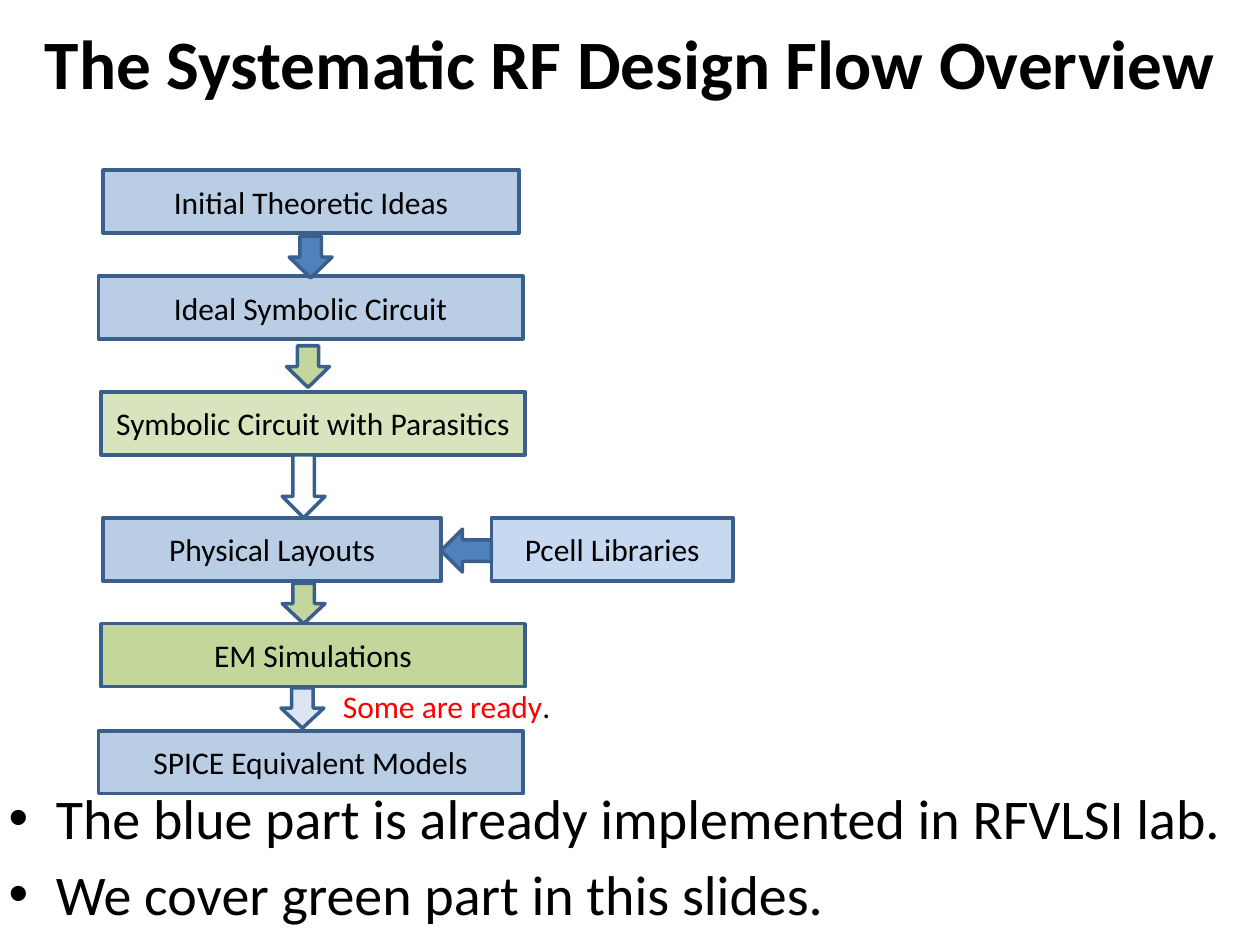
import pptx
import pptx.dml.color
import pptx.enum.shapes
import pptx.enum.text
import pptx.util
import lxml.etree
import pptx.oxml.ns

Pt = pptx.util.Pt
RGB = pptx.dml.color.RGBColor
KIND = pptx.enum.shapes.MSO_SHAPE
ALIGN = pptx.enum.text.PP_ALIGN
ANCHOR = pptx.enum.text.MSO_ANCHOR

BLACK = RGB(0x00, 0x00, 0x00)
WHITE = RGB(0xFF, 0xFF, 0xFF)
RED = RGB(0xFF, 0x00, 0x00)
EDGE = RGB(0x3A, 0x5F, 0x8C)
BLUE = RGB(0xB9, 0xCD, 0xE5)
SKY = RGB(0xC6, 0xD9, 0xF1)
PALE = RGB(0xDC, 0xE6, 0xF2)
DEEP = RGB(0x4F, 0x81, 0xBD)
LIME = RGB(0xD7, 0xE4, 0xBD)
GREEN = RGB(0xC3, 0xD6, 0x9B)

BOX_H = 36
ARROW_H = 24.5

BOXES = [
    ("Initial Theoretic Ideas", 59, 97.2, 237.6, BLUE),
    ("Ideal Symbolic Circuit", 56.2, 157.7, 242.6, BLUE),
    ("Symbolic Circuit with Parasitics", 57.6, 223.9, 242.6, LIME),
    ("Physical Layouts", 59, 295.9, 193, BLUE),
    ("Pcell Libraries", 280.8, 295.9, 138.2, SKY),
    ("EM Simulations", 57.6, 356.4, 242.6, GREEN),
    ("SPICE Equivalent Models", 56.2, 417.6, 242.6, BLUE),
]

ARROWS = [
    (177.5, 146.9, 23.8, 90, DEEP),
    (176, 209.5, 23.8, 90, GREEN),
    (173.5, 277.9, 36, 90, WHITE),
    (173.5, 344.9, 23, 90, GREEN),
    (266.4, 314.6, 28.8, 180, DEEP),
    (172.8, 404.6, 23, 90, PALE),
]

POINTS = [
    "The blue part is already implemented in RFVLSI lab.",
    "We cover green part in this slides.",
]


def add_run(para, text, size, color=BLACK, bold=False):
    """Append one styled run to a paragraph."""
    run = para.add_run()
    run.text = text
    run.font.name = "Calibri"
    run.font.size = Pt(size)
    run.font.bold = bold
    run.font.color.rgb = color


def add_shape(slide, kind, left, top, width, height, fill):
    """Draw a filled and outlined preset shape."""
    shape = slide.shapes.add_shape(kind, Pt(left), Pt(top), Pt(width), Pt(height))
    shape.shadow.inherit = False
    shape.fill.solid()
    shape.fill.fore_color.rgb = fill
    shape.line.color.rgb = EDGE
    shape.line.width = Pt(2)
    return shape


def add_box(slide, text, left, top, width, fill):
    """Draw one labelled step of the flow."""
    box = add_shape(slide, KIND.RECTANGLE, left, top, width, BOX_H, fill)
    box.text_frame.vertical_anchor = ANCHOR.MIDDLE
    para = box.text_frame.paragraphs[0]
    para.alignment = ALIGN.CENTER
    add_run(para, text, 18)


def add_arrow(slide, mid_x, mid_y, length, turn, fill):
    """Draw a block arrow turned about its centre."""
    arrow = add_shape(slide, KIND.RIGHT_ARROW, mid_x - length / 2,
                      mid_y - ARROW_H / 2, length, ARROW_H, fill)
    arrow.rotation = turn


def add_frame(slide, left, top, width, height, wrap=True):
    """Add a text box and return its text frame."""
    box = slide.shapes.add_textbox(Pt(left), Pt(top), Pt(width), Pt(height))
    box.text_frame.word_wrap = wrap
    return box.text_frame


def add_title(slide, text):
    """Add the centred bold title."""
    frame = add_frame(slide, 0, -1.4, 720, 73.4)
    frame.vertical_anchor = ANCHOR.MIDDLE
    para = frame.paragraphs[0]
    para.alignment = ALIGN.CENTER
    add_run(para, text, 39.6, bold=True)


def add_list(slide, points):
    """Add the bulleted list at the foot of the slide."""
    frame = add_frame(slide, -2.2, 444.2, 722, 96)
    for rank, text in enumerate(points):
        para = frame.add_paragraph() if rank else frame.paragraphs[0]
        props = para._p.get_or_add_pPr()
        props.set("marL", str(Pt(27)))
        props.set("indent", str(-Pt(27)))
        font = lxml.etree.SubElement(props, pptx.oxml.ns.qn("a:buFont"))
        font.set("typeface", "Arial")
        mark = lxml.etree.SubElement(props, pptx.oxml.ns.qn("a:buChar"))
        mark.set("char", "•")
        if rank:
            para.space_before = Pt(5)
        add_run(para, text, 32)


def add_note(slide):
    """Add the red remark beside the last arrow."""
    frame = add_frame(slide, 188.6, 388.8, 133.2, 28.8, wrap=False)
    para = frame.paragraphs[0]
    para.alignment = ALIGN.CENTER
    add_run(para, "Some are ready", 18, RED)
    add_run(para, ".", 18)


def main():
    """Build the slide and save it."""
    deck = pptx.Presentation()
    deck.slide_width = Pt(720)
    deck.slide_height = Pt(540)
    slide = deck.slides.add_slide(deck.slide_layouts[6])
    add_title(slide, "The Systematic RF Design Flow Overview")
    add_list(slide, POINTS)
    for box in BOXES:
        add_box(slide, *box)
    for arrow in ARROWS:
        add_arrow(slide, *arrow)
    add_note(slide)
    deck.save("out.pptx")


if __name__ == "__main__":
    main()
